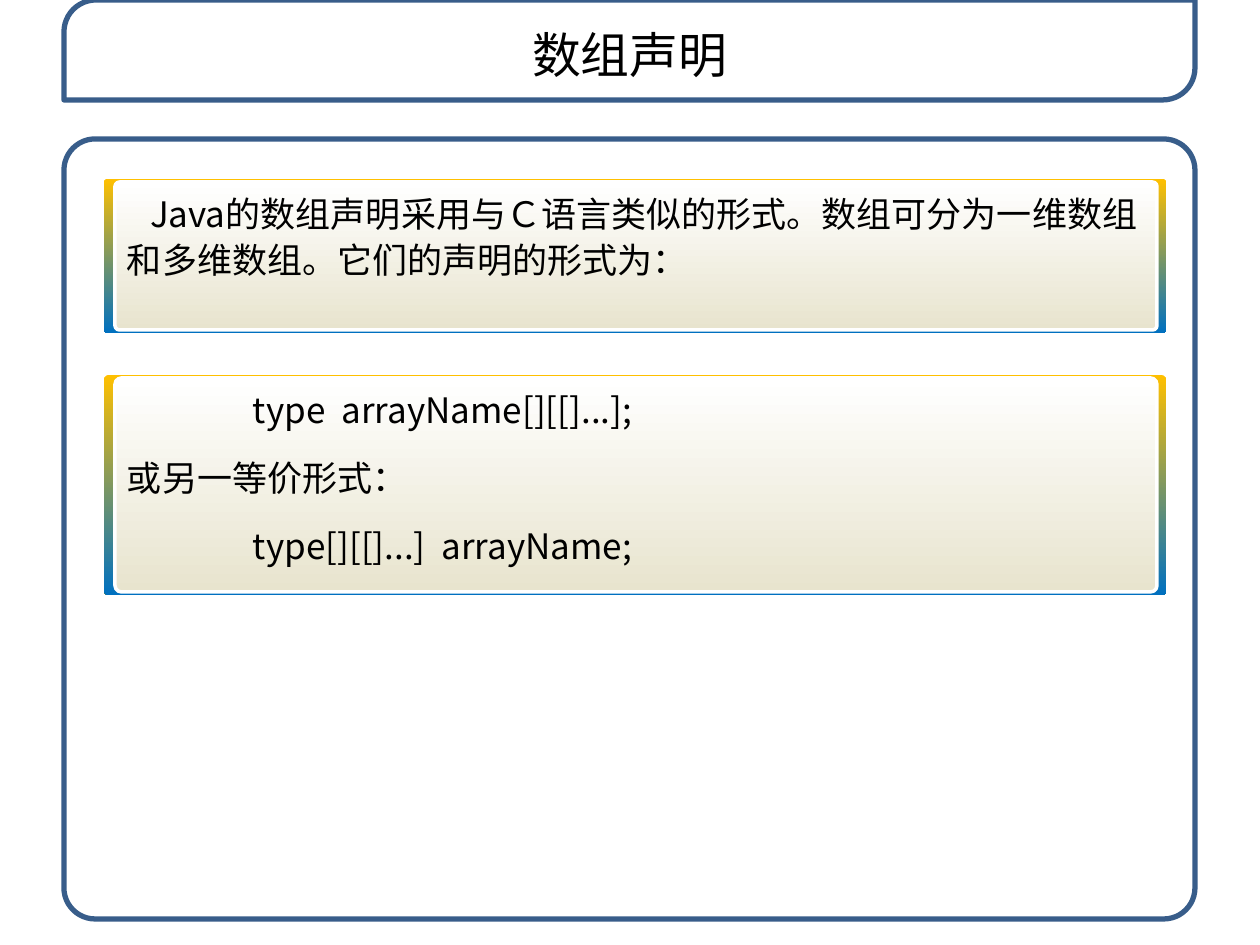
from pptx import Presentation
from pptx import util as u
from pptx.dml.color import RGBColor
from pptx.enum import shapes, text
from pptx.oxml.ns import qn
from lxml import etree

PX = 914400 / 126
FONT = "Noto Sans CJK SC"
HUE = {"white": "FFFFFF", "frame": "385D8A", "gold": "FFC000",
       "blue": "0070C0", "sand": "E8E4CE", "ink": "000000"}
KIND = shapes.MSO_SHAPE


def block(kind, box, adj, fills, line=None, width=0):
    item = slide.shapes.add_shape(kind, *[round(v * PX) for v in box])
    item.shadow.inherit = False
    item.adjustments[0] = adj
    if len(fills) == 2:
        item.fill.gradient()
        item.fill.gradient_angle = 270
        for stop, name in zip(item.fill.gradient_stops, fills):
            stop.color.rgb = RGBColor.from_string(HUE[name])
    else:
        item.fill.solid()
        item.fill.fore_color.rgb = RGBColor.from_string(HUE[fills[0]])
    if line:
        item.line.color.rgb = RGBColor.from_string(HUE[line])
        item.line.width = u.Pt(width)
    else:
        item.line.fill.background()
    return item


def write(box, lines, size, pad, space=0):
    frame = slide.shapes.add_textbox(*[round(v * PX) for v in box]).text_frame
    frame.word_wrap = True
    frame.margin_left = frame.margin_right = round(pad * PX)
    for i, line in enumerate(lines):
        para = frame.paragraphs[0] if i == 0 else frame.add_paragraph()
        if i:
            para.space_before = u.Pt(space)
        run = para.add_run()
        run.text = line
        run.font.size = u.Pt(size)
        run.font.name = FONT
        run.font.color.rgb = RGBColor.from_string(HUE["ink"])
        east = etree.SubElement(run.font._element, qn("a:ea"))
        east.set("typeface", FONT)
    return frame


deck = Presentation()
deck.slide_width, deck.slide_height = u.Inches(10), u.Inches(7.5)
slide = deck.slides.add_slide(deck.slide_layouts[6])

# Body frame and title frame, both slightly see-through
for kind, top, high, adj in [(KIND.ROUNDED_RECTANGLE, 139, 780, 0.04),
                             (KIND.ROUND_2_DIAG_RECTANGLE, 0, 100, 0.32)]:
    item = block(kind, (64, top, 1131, high), adj, ["white"], "frame", 3)
    tint = item._element.spPr.find(qn("a:solidFill"))[0]
    etree.SubElement(tint, qn("a:alpha")).set("val", "85000")

# Cards: coloured back, pale face, text
cards = [
    (179, 154, 106, ["Java的数组声明采用与Ｃ语言类似的形式。"
                     "数组可分为一维数组和多维数组。它们的声明的形式为："]),
    (375, 220, 195, ["\ttype  arrayName[][[]...];", "或另一等价形式：",
                     "\ttype[][[]...]  arrayName;"]),
]
for top, high, tall, lines in cards:
    block(KIND.ROUNDED_RECTANGLE, (104, top, 1062, high), 0.02,
          ["gold", "blue"])
    block(KIND.ROUNDED_RECTANGLE, (115, top + 3, 1042, high - 6), 0.03,
          ["white", "sand"], "white", 2)
    frame = write((114, top + 3, 1042, tall), lines, 20, 13, 12.5)
    for para in frame.paragraphs:
        para.line_spacing = 1.1
        props = para._p.get_or_add_pPr()
        if len(lines) == 1:
            props.set("indent", str(round(23 * PX)))
        else:
            tabs = etree.SubElement(props, qn("a:tabLst"))
            tab = etree.SubElement(tabs, qn("a:tab"))
            tab.set("pos", str(round(126 * PX)))
            tab.set("algn", "l")

# Title
frame = write((74, 16, 1111, 76), ["数组声明"], 27.9, 20)
frame.vertical_anchor = text.MSO_ANCHOR.MIDDLE
frame.paragraphs[0].alignment = text.PP_ALIGN.CENTER

deck.save("out.pptx")
